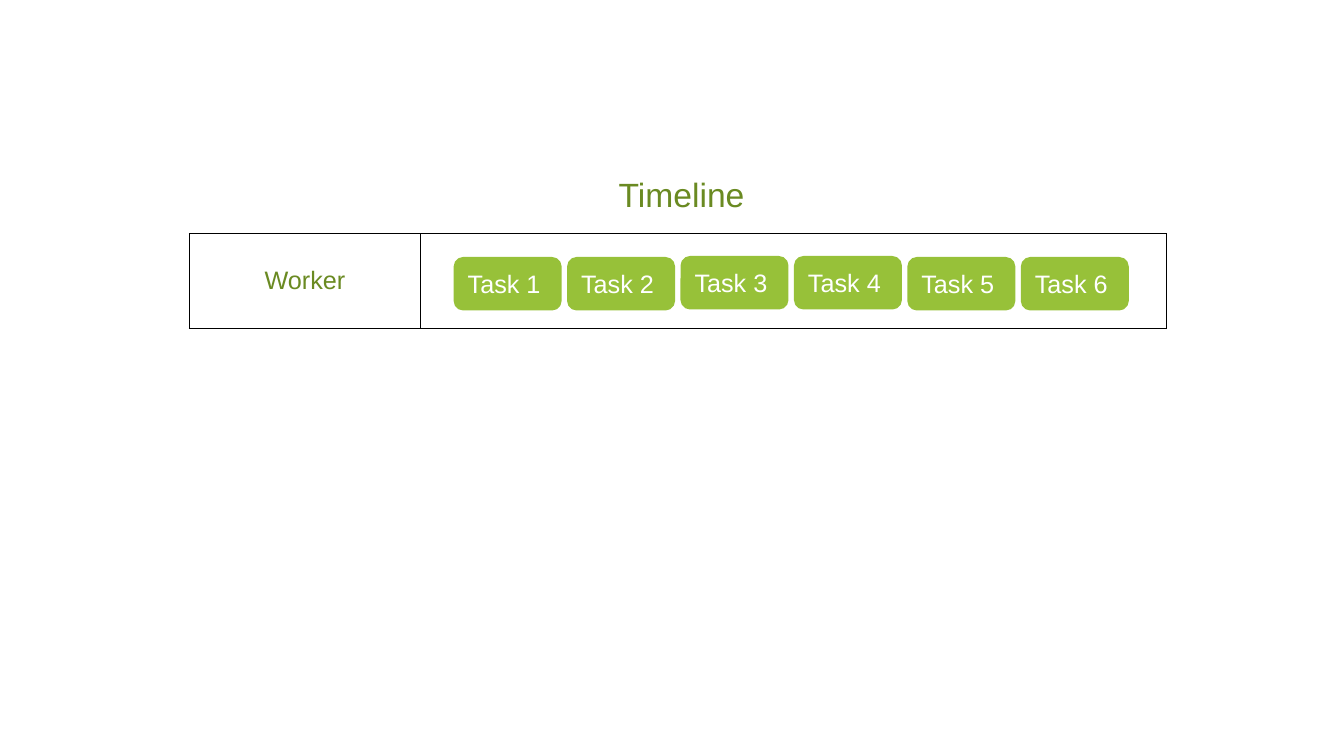
from lxml.etree import SubElement
from pptx import Presentation
from pptx.dml.color import RGBColor
from pptx.enum.shapes import MSO_SHAPE
from pptx.enum.text import MSO_ANCHOR, MSO_AUTO_SIZE, PP_ALIGN
from pptx.oxml.ns import qn
from pptx.util import Inches, Pt


def color(code):
    return RGBColor.from_string(code)


def write(frame, text, size=18, ink="FFFFFF", font="Arial"):
    para = frame.paragraphs[0]
    para.alignment = PP_ALIGN.CENTER
    run = para.add_run()
    run.text = text
    run.font.size = Pt(size)
    run.font.name = font
    run.font.color.rgb = color(ink)


def border(cell, code="000000", width=1):
    props = cell._tc.get_or_add_tcPr()
    for at, side in enumerate(("lnL", "lnR", "lnT", "lnB")):
        line = SubElement(props, qn(f"a:{side}"), w=str(Pt(width)))
        fill = SubElement(line, qn("a:solidFill"))
        SubElement(fill, qn("a:srgbClr"), val=code)
        props.insert(at, line)  # borders must precede the cell fill


class Board:
    green = "97C139"
    dark = "6A8A22"

    def __init__(self, slide):
        self.slide = slide

    def label(self, text, box, size):
        shape = self.slide.shapes.add_textbox(*map(Inches, box))
        frame = shape.text_frame
        frame.word_wrap = False
        frame.auto_size = MSO_AUTO_SIZE.SHAPE_TO_FIT_TEXT
        write(frame, text, size=size, ink=self.dark)

    def table(self, texts, box, widths):
        frame = self.slide.shapes.add_table(1, len(texts), *map(Inches, box))
        grid = frame.table
        grid.first_row = grid.horz_banding = False
        for col, (text, width) in enumerate(zip(texts, widths)):
            grid.columns[col].width = Inches(width)
            cell = grid.cell(0, col)
            cell.fill.background()
            cell.vertical_anchor = MSO_ANCHOR.MIDDLE
            border(cell)
            if text:
                write(cell.text_frame, text, ink=self.dark)

    def task(self, text, box):
        shape = self.slide.shapes.add_shape(
            MSO_SHAPE.ROUNDED_RECTANGLE, *map(Inches, box))
        shape.shadow.inherit = False
        shape.fill.solid()
        shape.fill.fore_color.rgb = color(self.green)
        shape.line.color.rgb = color(self.green)
        shape.line.width = Pt(1.5)
        shape.text_frame.vertical_anchor = MSO_ANCHOR.MIDDLE
        write(shape.text_frame, text)


def main():
    deck = Presentation()
    deck.slide_width, deck.slide_height = Inches(13.33), Inches(7.5)
    board = Board(deck.slides.add_slide(deck.slide_layouts[6]))

    board.table(["Worker", ""], (1.88, 2.32, 9.69, 0.94), (2.29, 7.4))
    board.label("Timeline", (6.03, 1.68, 1.46, 0.5), size=24)

    left, step = 4.51, 1.125
    tops = (2.56, 2.56, 2.55, 2.55, 2.56, 2.56)
    for index, top in enumerate(tops):
        board.task(f"Task {index + 1} ", (left + index * step, top, 1.05, 0.51))

    deck.save("out.pptx")


if __name__ == "__main__":
    main()
